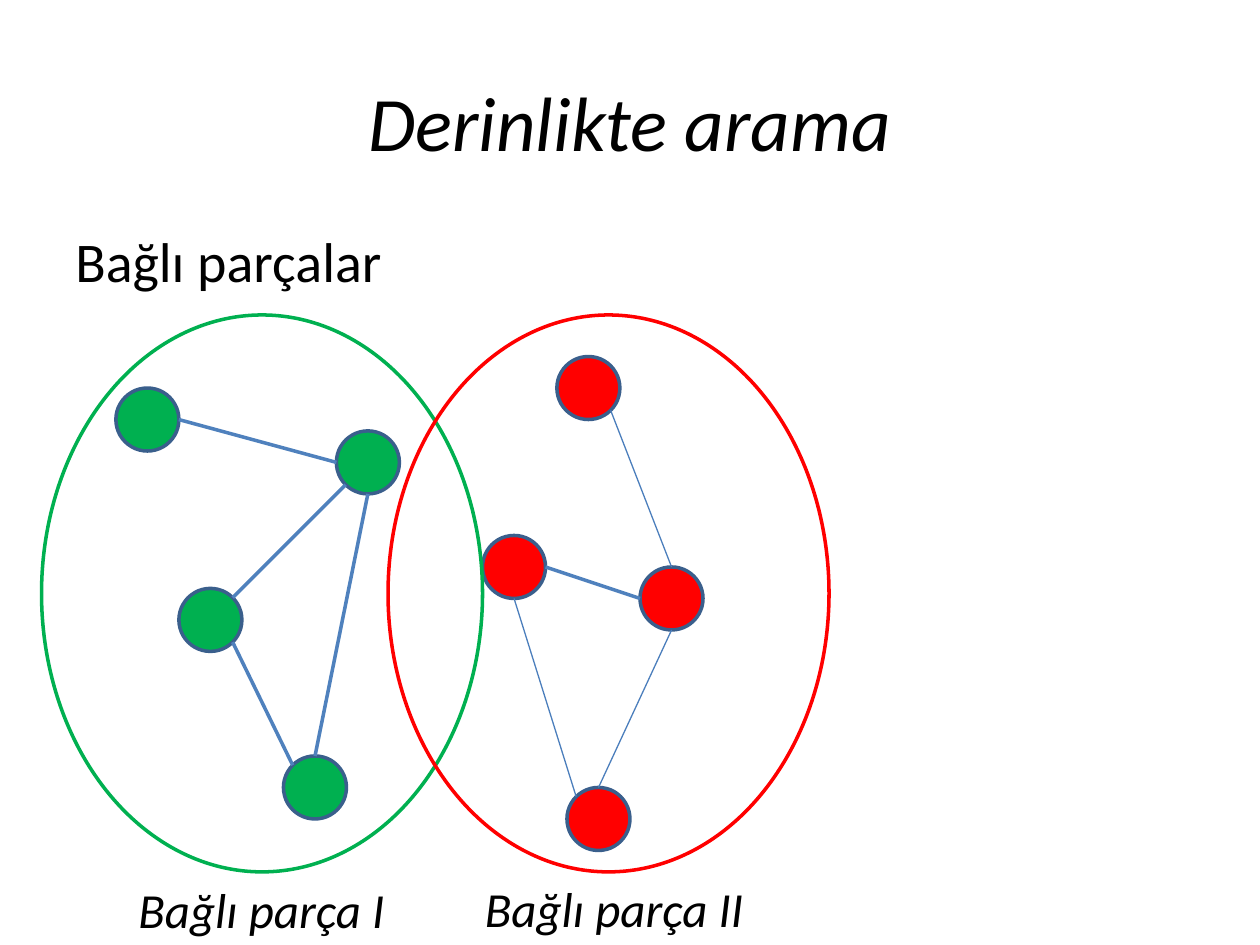
from dataclasses import dataclass
from math import cos, radians, sin

from lxml.etree import SubElement
from pptx import Presentation
from pptx.dml.color import RGBColor
from pptx.enum.shapes import MSO_CONNECTOR, MSO_SHAPE
from pptx.enum.text import MSO_ANCHOR, PP_ALIGN
from pptx.oxml.ns import qn
from pptx.util import Inches, Pt


@dataclass(frozen=True)
class Theme:
    font: str = "Calibri"
    text: str = "000000"
    node_line: str = "3A5F8C"
    thin_edge: str = "4F81BD"
    edge: str = "4B7EBC"
    green: str = "00B050"
    red: str = "FF0000"
    title_size: int = 44
    body_size: int = 32
    label_size: int = 28
    outline: float = 2
    thin: float = 0
    regular: float = 0.75


THEME = Theme()
NODE_SIZE = 0.5
COMPONENT_TOP, COMPONENT_WIDTH, COMPONENT_HEIGHT = 2.5, 3.5, 4.42

# Text, box (left, top, width, height), size, italic, alignment, anchor
TEXTS = [
    ("Derinlikte arama", (0.5, 0.33, 9, 1.25), THEME.title_size, True,
     PP_ALIGN.CENTER, MSO_ANCHOR.MIDDLE),
    ("Bağlı parçalar", (0.5, 1.75, 9, 0.75), THEME.body_size, False,
     PP_ALIGN.LEFT, MSO_ANCHOR.TOP),
    ("Bağlı parça I", (1, 6.93, 2.5, 0.57), THEME.label_size, True,
     PP_ALIGN.LEFT, MSO_ANCHOR.TOP),
    ("Bağlı parça II", (3.75, 6.92, 2.5, 0.57), THEME.label_size, True,
     PP_ALIGN.LEFT, MSO_ANCHOR.TOP),
]

# Each component: left of its ellipse, colour, node centres
COMPONENTS = [
    (0.33, THEME.green,
     {"A": (1.17, 3.33), "B": (2.92, 3.67), "C": (1.67, 4.92), "D": (2.5, 6.25)}),
    (3.08, THEME.red,
     {"E": (4.08, 4.5), "F": (4.67, 3.08), "G": (5.33, 4.75), "H": (4.75, 6.5)}),
]
CENTRES = {name: centre for _, _, nodes in COMPONENTS for name, centre in nodes.items()}

# Clockwise angles from the right-hand side of a node
SIDES = {"right": 0, "bottom right": 45, "bottom": 90, "bottom left": 135,
         "left": 180, "top left": 225, "top": 270}

# Node and side at each end of an edge
THIN_EDGES = [
    ("A", "right", "B", "left"),
    ("B", "bottom left", "C", "bottom right"),
    ("D", "top", "B", "bottom"),
    ("C", "bottom right", "D", "top left"),
    ("E", "right", "G", "left"),
]
THIN_EDGES[1] = ("B", "bottom left", "C", "top right")
SIDES["top right"] = 315
EDGES = [
    ("G", "top", "F", "bottom right"),
    ("G", "bottom", "H", "top"),
    ("H", "top left", "E", "bottom"),
]


def add_text(slide, text, box, size, italic, alignment, anchor):
    frame = slide.shapes.add_textbox(*map(Inches, box)).text_frame
    frame.word_wrap = True
    frame.vertical_anchor = anchor
    paragraph = frame.paragraphs[0]
    paragraph.text = text
    paragraph.alignment = alignment
    font = paragraph.font
    font.name, font.size, font.italic = THEME.font, Pt(size), italic
    font.color.rgb = RGBColor.from_string(THEME.text)


def add_round(slide, kind, box, line, fill=None):
    shape = slide.shapes.add_shape(kind, *map(Inches, box))
    shape.shadow.inherit = False
    if fill:
        shape.fill.solid()
        shape.fill.fore_color.rgb = RGBColor.from_string(fill)
    else:
        shape.fill.background()
    shape.line.color.rgb = RGBColor.from_string(line)
    shape.line.width = Pt(THEME.outline)


def rim_point(node, side):
    """Return the point on a node's rim at the named side."""
    x, y = CENTRES[node]
    angle = radians(SIDES[side])
    radius = NODE_SIZE / 2
    return Inches(x + radius * cos(angle)), Inches(y + radius * sin(angle))


def add_edge(slide, edge, color, width):
    start, start_side, end, end_side = edge
    connector = slide.shapes.add_connector(
        MSO_CONNECTOR.STRAIGHT, *rim_point(start, start_side), *rim_point(end, end_side))
    connector.line.color.rgb = RGBColor.from_string(color)
    connector.line.width = Pt(width)
    SubElement(connector._element.spPr, qn("a:effectLst"))


def main():
    presentation = Presentation()
    presentation.slide_width, presentation.slide_height = Inches(10), Inches(7.5)
    slide = presentation.slides.add_slide(presentation.slide_layouts[6])

    for text in TEXTS[:2]:
        add_text(slide, *text)
    for _, color, nodes in COMPONENTS:
        for x, y in nodes.values():
            box = (x - NODE_SIZE / 2, y - NODE_SIZE / 2, NODE_SIZE, NODE_SIZE)
            add_round(slide, MSO_SHAPE.FLOWCHART_CONNECTOR, box, THEME.node_line, color)
    for edge in THIN_EDGES:
        add_edge(slide, edge, THEME.thin_edge, THEME.thin)
    for edge in EDGES:
        add_edge(slide, edge, THEME.edge, THEME.regular)
    for left, color, _ in COMPONENTS:
        box = (left, COMPONENT_TOP, COMPONENT_WIDTH, COMPONENT_HEIGHT)
        add_round(slide, MSO_SHAPE.OVAL, box, color)
    for text in TEXTS[2:]:
        add_text(slide, *text)

    presentation.save("out.pptx")


if __name__ == "__main__":
    main()
